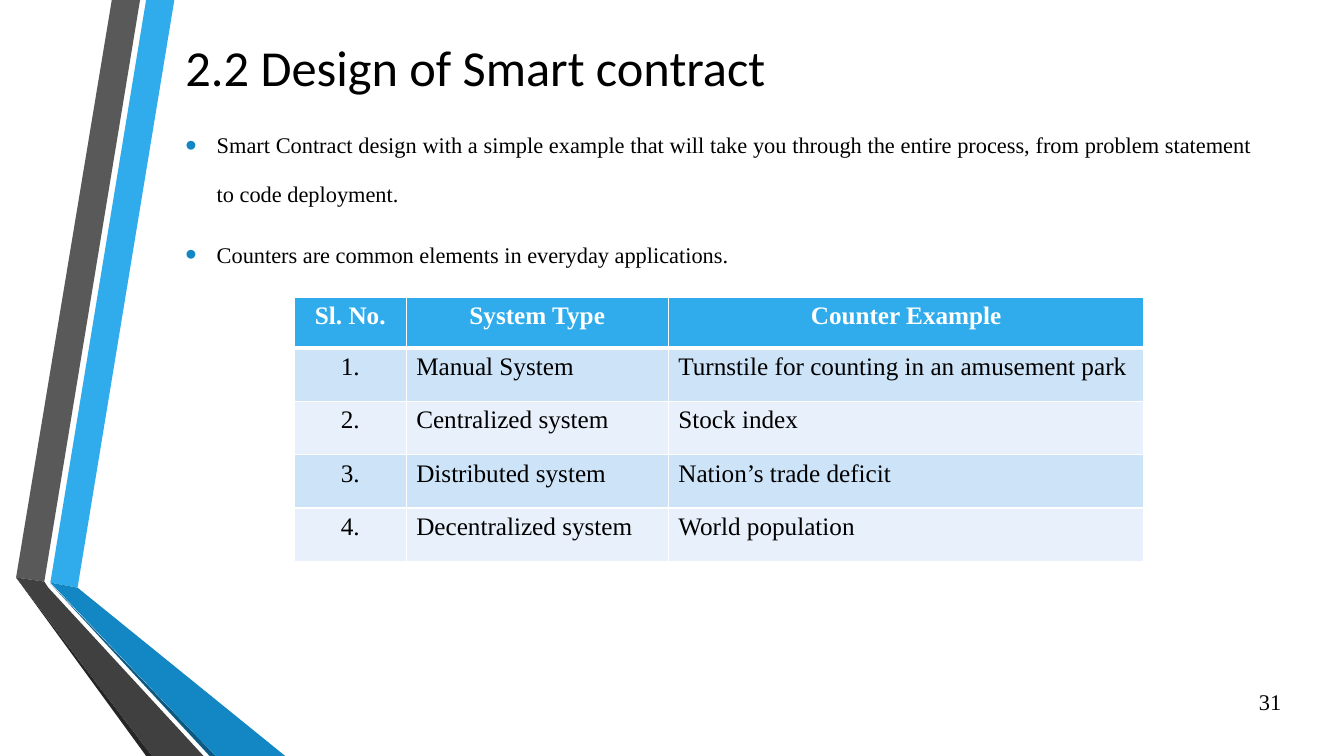
from lxml import etree
from pptx import Presentation
from pptx.dml.color import RGBColor
from pptx.enum.text import MSO_ANCHOR, MSO_AUTO_SIZE, PP_ALIGN
from pptx.oxml.ns import qn
from pptx.util import Emu, Inches, Pt

LEFT, CENTER, RIGHT, JUSTIFY = PP_ALIGN.LEFT, PP_ALIGN.CENTER, PP_ALIGN.RIGHT, PP_ALIGN.JUSTIFY
TOP, MIDDLE = MSO_ANCHOR.TOP, MSO_ANCHOR.MIDDLE
NO_FIT = MSO_AUTO_SIZE.NONE

BLACK = RGBColor(0x00, 0x00, 0x00)
WHITE = RGBColor(0xFF, 0xFF, 0xFF)
SKY = RGBColor(0x30, 0xAC, 0xEC)
BLUE = RGBColor(0x12, 0x87, 0xC3)
NAVY = RGBColor(0x0C, 0x5A, 0x82)
GREY = RGBColor(0x59, 0x59, 0x59)
CHARCOAL = RGBColor(0x40, 0x40, 0x40)
SOOT = RGBColor(0x26, 0x26, 0x26)
BANDS = (RGBColor(0xCD, 0xE3, 0xF8), RGBColor(0xE8, 0xF1, 0xFB))

TITLE = "2.2 Design of Smart contract"
POINTS = [
    "Smart Contract design with a simple example that will take you through "
    "the entire process, from problem statement to code deployment.",
    "Counters are common elements in everyday applications.",
]
PAGE_NUMBER = "31"
COUNTERS = [
    ("Sl. No.", "System Type", "Counter Example"),
    ("1.", "Manual System", "Turnstile for counting in an amusement park"),
    ("2.", "Centralized system", "Stock index"),
    ("3.", "Distributed system", "Nation’s trade deficit"),
    ("4.", "Decentralized system", "World population"),
]
COLUMN_WIDTHS = (1.11, 2.6, 4.72)
HEADER_HEIGHT, ROW_HEIGHT = 0.5, 0.53

HUNDREDTH = Inches(0.01)
RIBBONS = [
    (SKY, [(50, 578), (77, 583), (173, 0), (145, 0)]),
    (GREY, [(139, 0), (111, 0), (16, 573), (44, 577)]),
    (SOOT, [(16, 573), (145, 750), (151, 750)]),
    (NAVY, [(50, 579), (208, 750), (214, 750)]),
    (BLUE, [(50, 578), (214, 750), (283, 750), (77, 583)]),
    (CHARCOAL, [(202, 750), (48, 583), (44, 577), (16, 573), (151, 750)]),
]

TITLE_FONT = {"name": "Calibri", "size": Pt(36), "bold": False}
BODY_FONT = {"name": "Times New Roman", "size": Pt(16), "bold": False}
CELL_FONT = {"name": "Times New Roman", "size": Pt(18), "bold": False}
HEADER_FONT = {**CELL_FONT, "bold": True}


def apply(target, values):
    for name, value in values.items():
        setattr(target, name, value)


def write(para, text, font, color, align):
    para.alignment = align
    span = para.add_run()
    span.text = text
    apply(span.font, font)
    span.font.color.rgb = color


def place(shape, left, top, width, height, anchor):
    apply(shape, {"left": Inches(left), "top": Inches(top),
                  "width": Inches(width), "height": Inches(height)})
    apply(shape.text_frame, {"word_wrap": True, "auto_size": NO_FIT,
                             "vertical_anchor": anchor})


def add_bullet(para):
    props = para._p.get_or_add_pPr()
    props.set("marL", str(Inches(0.31)))
    props.set("indent", str(-Inches(0.31)))
    color = etree.SubElement(props, qn("a:buClr"))
    etree.SubElement(color, qn("a:srgbClr"), val=str(BLUE))
    etree.SubElement(props, qn("a:buSzPct"), val="145000")
    etree.SubElement(props, qn("a:buFont"), typeface="Arial")
    etree.SubElement(props, qn("a:buChar"), char="•")


def add_borders(cell, bottom):
    props = cell._tc.get_or_add_tcPr()
    for index, (side, points) in enumerate(zip("LRTB", (1, 1, 1, bottom))):
        line = etree.Element(qn("a:ln" + side), w=str(Pt(points)))
        fill = etree.SubElement(line, qn("a:solidFill"))
        etree.SubElement(fill, qn("a:srgbClr"), val=str(WHITE))
        props.insert(index, line)


def draw_ribbons(page):
    for color, (start, *rest) in RIBBONS:
        builder = page.shapes.build_freeform(*start, scale=float(HUNDREDTH))
        builder.add_line_segments(rest, close=True)
        ribbon = builder.convert_to_shape()
        ribbon.shadow.inherit = False
        ribbon.fill.solid()
        ribbon.fill.fore_color.rgb = color
        ribbon.line.fill.background()


def fill_text(page):
    title, body = page.placeholders
    place(title, 1.74, 0.31, 10.54, 0.7, MIDDLE)
    write(title.text_frame.paragraphs[0], TITLE, TITLE_FONT, BLACK, LEFT)

    place(body, 1.74, 1.04, 10.78, 5.63, TOP)
    frame = body.text_frame
    for index, point in enumerate(POINTS):
        para = frame.add_paragraph() if index else frame.paragraphs[0]
        add_bullet(para)
        apply(para, {"line_spacing": 1.8, "space_after": Pt(6),
                     "space_before": Pt(3.2 if index else 0)})
        write(para, point, BODY_FONT, BLACK, JUSTIFY)

    number = page.shapes.add_textbox(0, 0, 0, 0)
    place(number, 12.21, 6.76, 0.6, 0.4, MIDDLE)
    write(number.text_frame.paragraphs[0], PAGE_NUMBER, BODY_FONT, BLACK, RIGHT)


def add_counters(page):
    heights = [HEADER_HEIGHT] + [ROW_HEIGHT] * (len(COUNTERS) - 1)
    table = page.shapes.add_table(
        len(COUNTERS), len(COLUMN_WIDTHS), Inches(2.92), Inches(2.95),
        Inches(sum(COLUMN_WIDTHS)), Inches(sum(heights))).table
    for column, width in zip(table.columns, COLUMN_WIDTHS):
        column.width = Inches(width)
    for r, (values, height) in enumerate(zip(COUNTERS, heights)):
        header = r == 0
        table.rows[r].height = Inches(height)
        for c, value in enumerate(values):
            cell = table.cell(r, c)
            cell.fill.solid()
            cell.fill.fore_color.rgb = SKY if header else BANDS[(r - 1) % 2]
            add_borders(cell, 3 if header else 1)
            write(cell.text_frame.paragraphs[0], value,
                  HEADER_FONT if header else CELL_FONT,
                  WHITE if header else BLACK,
                  CENTER if header or c == 0 else LEFT)


def main():
    deck = Presentation()
    apply(deck, {"slide_width": Emu(12192000), "slide_height": Inches(7.5)})
    page = deck.slides.add_slide(deck.slide_layouts[1])
    draw_ribbons(page)
    fill_text(page)
    add_counters(page)
    deck.save("out.pptx")


if __name__ == "__main__":
    main()
